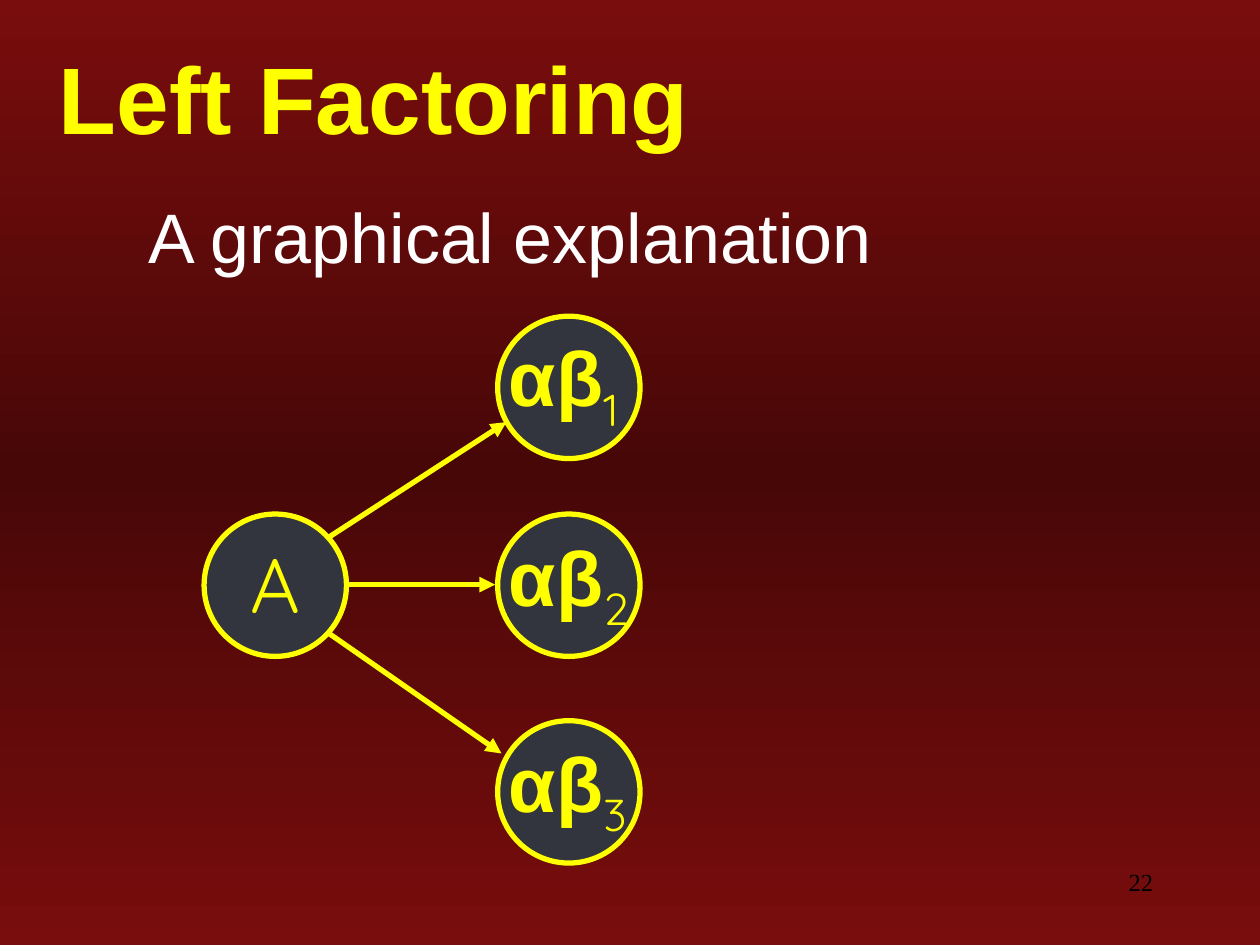
from copy import deepcopy

from lxml.etree import SubElement
from pptx import Presentation
from pptx.dml.color import RGBColor
from pptx.enum.shapes import MSO_CONNECTOR, MSO_SHAPE
from pptx.enum.text import MSO_ANCHOR, MSO_AUTO_SIZE, PP_ALIGN
from pptx.oxml import parse_xml
from pptx.oxml.ns import nsdecls, qn
from pptx.util import Inches, Pt

YELLOW = RGBColor(0xFF, 0xFF, 0x00)
WHITE = RGBColor(0xFF, 0xFF, 0xFF)
BLACK = RGBColor(0x00, 0x00, 0x00)
SLATE = RGBColor(0x32, 0x35, 0x3E)
RED = RGBColor(0x79, 0x0D, 0x0D)
DARK_RED = RGBColor(0x48, 0x07, 0x07)

DIAMETER = 1.13


def add_text(shapes, box, text, size, font, color, bold=False):
    frame = shapes.add_textbox(*map(Inches, box)).text_frame
    frame.word_wrap = True
    frame.text = text
    style_run(frame.paragraphs[0].runs[0], size, font, color, bold)
    return frame


def style_run(run, size, font, color, bold=False):
    run.font.size = Pt(size)
    run.font.name = font
    run.font.bold = bold
    run.font.color.rgb = color


prs = Presentation()
prs.slide_width, prs.slide_height = Inches(10), Inches(7.5)
slide = prs.slides.add_slide(prs.slide_layouts[6])

# Background: red at the edges, darker in the middle
backdrop = slide.background.fill
backdrop.gradient()
backdrop.gradient_angle = 90
first_stop = backdrop.gradient_stops[0]._gs
first_stop.addnext(deepcopy(first_stop))
for stop, position, color in zip(backdrop.gradient_stops, (0, 0.5, 1), (RED, DARK_RED, RED)):
    stop.position = position
    stop.color.rgb = color

# Title with a text shadow, and subtitle
title = add_text(slide.shapes, (0.37, 0.35, 10, 0.83), "Left Factoring", 54, "Arial", YELLOW, True)
title.vertical_anchor = MSO_ANCHOR.MIDDLE
title_props = title.paragraphs[0].runs[0].font._element
title_props.find(qn("a:solidFill")).addnext(parse_xml(
    f'<a:effectLst {nsdecls("a")}><a:outerShdw dist="17961" dir="2700000">'
    '<a:srgbClr val="000000"/></a:outerShdw></a:effectLst>'))

subtitle = add_text(slide.shapes, (1.08, 1.43, 7.16, 1.06), "A graphical explanation", 40, "Arial", WHITE)
subtitle.margin_top = Inches(0.11)

# Nodes: circle left and top, label box, symbol, font, bold, subscript
nodes = [
    (1.62, 4.08, (1.89, 4.21, 0.59, 0.84), "A", "Quicksand", False, ""),
    (3.95, 4.08, (3.94, 4.15, 1.51, 0.94), "αβ", "Arial", True, "2"),
    (3.95, 2.51, (3.94, 2.57, 1.51, 0.94), "αβ", "Arial", True, "1"),
    (3.95, 5.72, (3.94, 5.79, 1.51, 0.94), "αβ", "Arial", True, "3"),
]
for left, top, label_box, symbol, font, bold, subscript in nodes:
    node = slide.shapes.add_group_shape()
    circle = node.shapes.add_shape(
        MSO_SHAPE.OVAL, Inches(left), Inches(top), Inches(DIAMETER), Inches(DIAMETER))
    circle.shadow.inherit = False
    circle.fill.solid()
    circle.fill.fore_color.rgb = SLATE
    circle.line.color.rgb = YELLOW
    circle.line.width = Pt(3)

    label = add_text(node.shapes, label_box, symbol, 44, font, YELLOW, bold)
    label.auto_size = MSO_AUTO_SIZE.SHAPE_TO_FIT_TEXT
    label.word_wrap = bool(subscript)
    if subscript:
        index = label.paragraphs[0].add_run()
        index.text = subscript
        style_run(index, 44, "Quicksand", YELLOW)
        index.font._element.set("baseline", "-25000")

# Arrows from A to each alternative
for start_x, start_y, end_x, end_y in [
    (2.6, 4.27, 4.02, 3.35),
    (2.75, 4.64, 3.93, 4.64),
    (2.6, 5.02, 3.98, 5.98),
]:
    arrow = slide.shapes.add_connector(
        MSO_CONNECTOR.STRAIGHT, Inches(start_x), Inches(start_y), Inches(end_x), Inches(end_y))
    arrow.line.color.rgb = YELLOW
    arrow.line.width = Pt(3)
    SubElement(arrow.line._get_or_add_ln(), qn("a:tailEnd"), type="triangle")
    SubElement(arrow._element.spPr, qn("a:effectLst"))

# Page number
page = add_text(slide.shapes, (7.17, 6.83, 2.08, 0.5), "22", 14, "Times New Roman", BLACK)
page.paragraphs[0].alignment = PP_ALIGN.RIGHT

prs.save("out.pptx")
